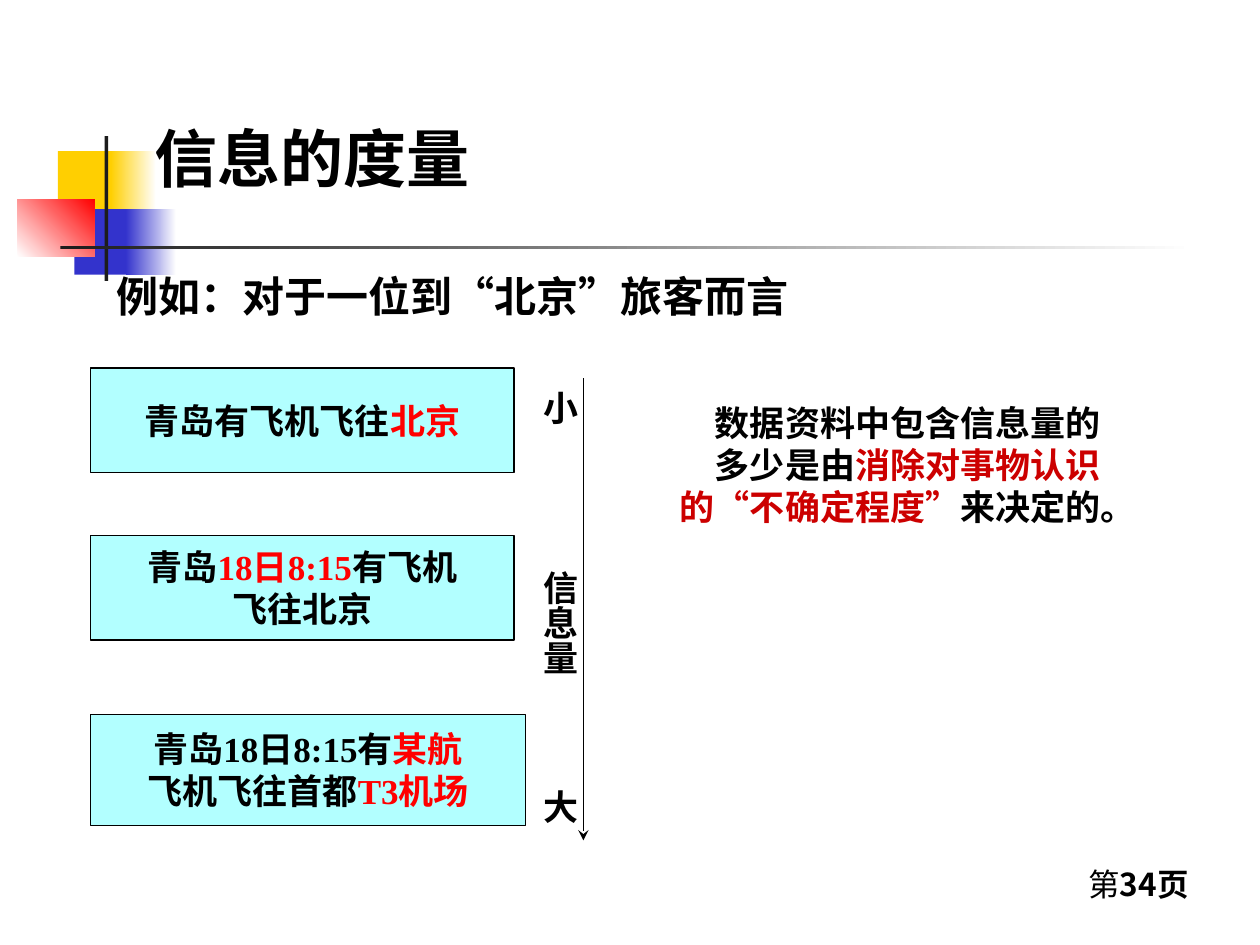
from lxml.etree import SubElement
from pptx import Presentation
from pptx.dml.color import RGBColor as RGB
from pptx.enum.shapes import MSO_CONNECTOR as Connector, MSO_SHAPE as Shape
from pptx.enum.text import MSO_ANCHOR as Anchor, MSO_AUTO_SIZE as AutoSize, PP_ALIGN as Align
from pptx.oxml.ns import qn
from pptx.util import Inches, Pt

COLORS = {
    "black": "000000", "white": "FFFFFF", "ink": "1C1C1C", "gold": "FFCF01",
    "blue": "3333CC", "red": "FF0000", "dark red": "CC0000", "aqua": "66FFFF",
}
SANS, SERIF = "Noto Sans CJK SC", "Times New Roman"

deck = Presentation()
deck.slide_width, deck.slide_height = Inches(10), Inches(7.5)
page = deck.slides.add_slide(deck.slide_layouts[5])
CELL = deck.slide_width // 100  # grid of 100 columns by 75 rows


def grid(*cells):
    return [round(cell * CELL) for cell in cells]


def write(frame, lines, size, font, align=Align.LEFT, bold=True):
    """Fill a frame with lines of (text, color[, font]) spans."""
    for number, line in enumerate(lines):
        para = frame.add_paragraph() if number else frame.paragraphs[0]
        para.alignment = align
        for text, color, *other in line:
            span = para.add_run()
            span.text = text
            span.font.size, span.font.bold = Pt(size), bold
            span.font.color.rgb = RGB.from_string(COLORS[color])
            span.font.name = other[0] if other else font
            SubElement(span.font._element, qn("a:ea")).set("typeface", SANS)


# Corner ornament and rules: cells, start color, end color, angle
ornament = [
    ((4.6, 12, 4.8, 5.2), "gold", None, 0),
    ((8.8, 12, 3.6, 5.2), "gold", "white", 0),
    ((5.9, 16.6, 4.6, 5.2), "blue", None, 0),
    ((10, 16.6, 4, 5.2), "blue", "white", 0),
    ((1.4, 15.8, 6.1, 4.6), "white", "red", 45),
    ((8.3, 10.8, 0.3, 11.5), "ink", None, 0),
    ((4.8, 19.5, 90, 0.3), "ink", "white", 0),
]
for cells, start, end, angle in ornament:
    block = page.shapes.add_shape(Shape.RECTANGLE, *grid(*cells))
    block.shadow.inherit = False
    block.line.fill.background()
    if end:
        block.fill.gradient()
        block.fill.gradient_angle = angle
        for stop, color in zip(block.fill.gradient_stops, (start, end)):
            stop.color.rgb = RGB.from_string(COLORS[color])
    else:
        block.fill.solid()
        block.fill.fore_color.rgb = RGB.from_string(COLORS[start])

# Title
title = page.shapes.title
title.left, title.top, title.width, title.height = grid(10, 8.3, 84.3, 7.7)
frame = title.text_frame
frame.auto_size, frame.vertical_anchor = AutoSize.NONE, Anchor.BOTTOM
frame.margin_left = Inches(0.23)
write(frame, [[("信息的度量", "black")]], 36, SANS)

# Lead-in sentence
lead = page.shapes.add_textbox(*grid(8.3, 21, 55.6, 5))
lead.text_frame.word_wrap = True
write(lead.text_frame, [[("例如：对于一位到“北京”旅客而言", "black")]], 24, SANS)

# Three messages, each more precise than the one before
messages = [
    ((29.2, 33.6, 8.3), [[("青岛有飞机飞往", "black"), ("北京", "red")]]),
    ((42.5, 33.6, 8.3), [
        [("青岛", "black"), ("18日8:15", "red"), ("有飞机", "black")],
        [("飞往北京", "black")]]),
    ((56.7, 34.5, 8.8), [
        [("青岛18日8:15有", "black"), ("某航", "red")],
        [("飞机飞往首都", "black"), ("T3机场", "red")]]),
]
for (top, width, height), lines in messages:
    box = page.shapes.add_shape(Shape.RECTANGLE, *grid(7.2, top, width, height))
    box.shadow.inherit = False
    box.fill.solid()
    box.fill.fore_color.rgb = RGB.from_string(COLORS["aqua"])
    tint = box.fill._xPr.find(".//" + qn("a:srgbClr"))
    SubElement(tint, qn("a:alpha")).set("val", "50000")
    box.line.color.rgb = RGB.from_string(COLORS["black"])
    box.line.width = Pt(0.75)
    box.text_frame.word_wrap = False
    box.text_frame.vertical_anchor = Anchor.MIDDLE
    write(box.text_frame, lines, 20, SERIF, Align.CENTER)

# Arrow from little to much information
arrow = page.shapes.add_connector(Connector.STRAIGHT, *grid(46.3, 30, 46.3, 66.7))
arrow.line.color.rgb = RGB.from_string(COLORS["black"])
arrow.line.width = Pt(0.75)
SubElement(arrow.line._get_or_add_ln(), qn("a:tailEnd")).set("type", "stealth")
SubElement(arrow._element.spPr, qn("a:effectLst"))

# Vertical labels beside the arrow
for text, top, height in [("小", 30, 3.7), ("信息量", 44.3, 9.2), ("大", 61.7, 3.7)]:
    label = page.shapes.add_textbox(*grid(41.3, top, 5.3, height))
    label.text_frame.word_wrap = False
    label.text_frame._txBody.bodyPr.set("vert", "eaVert")
    write(label.text_frame, [[(text, "black")]], 20, SERIF, Align.CENTER)

# Conclusion
conclusion = page.shapes.add_textbox(*grid(50.4, 28.1, 43.3, 17.5))
conclusion.text_frame.word_wrap = False
conclusion.text_frame.vertical_anchor = Anchor.MIDDLE
write(conclusion.text_frame, [
    [("数据资料中包含信息量的", "black")],
    [("多少是由", "black"), ("消除对事物认识", "dark red")],
    [("的", "dark red"), ("“", "dark red", SANS), ("不确定程度", "dark red"),
     ("”", "dark red", SANS), ("来决定的。", "black")],
], 20, SERIF, Align.CENTER)

# Page number
number_box = page.shapes.add_textbox(*grid(85.4, 68.2, 10.8, 4))
number_box.text_frame.word_wrap = True
write(number_box.text_frame, [[("第", "black"), ("34页", "black")]], 18, SANS)
number_box.text_frame.paragraphs[0].runs[0].font.bold = False

deck.save("out.pptx")
